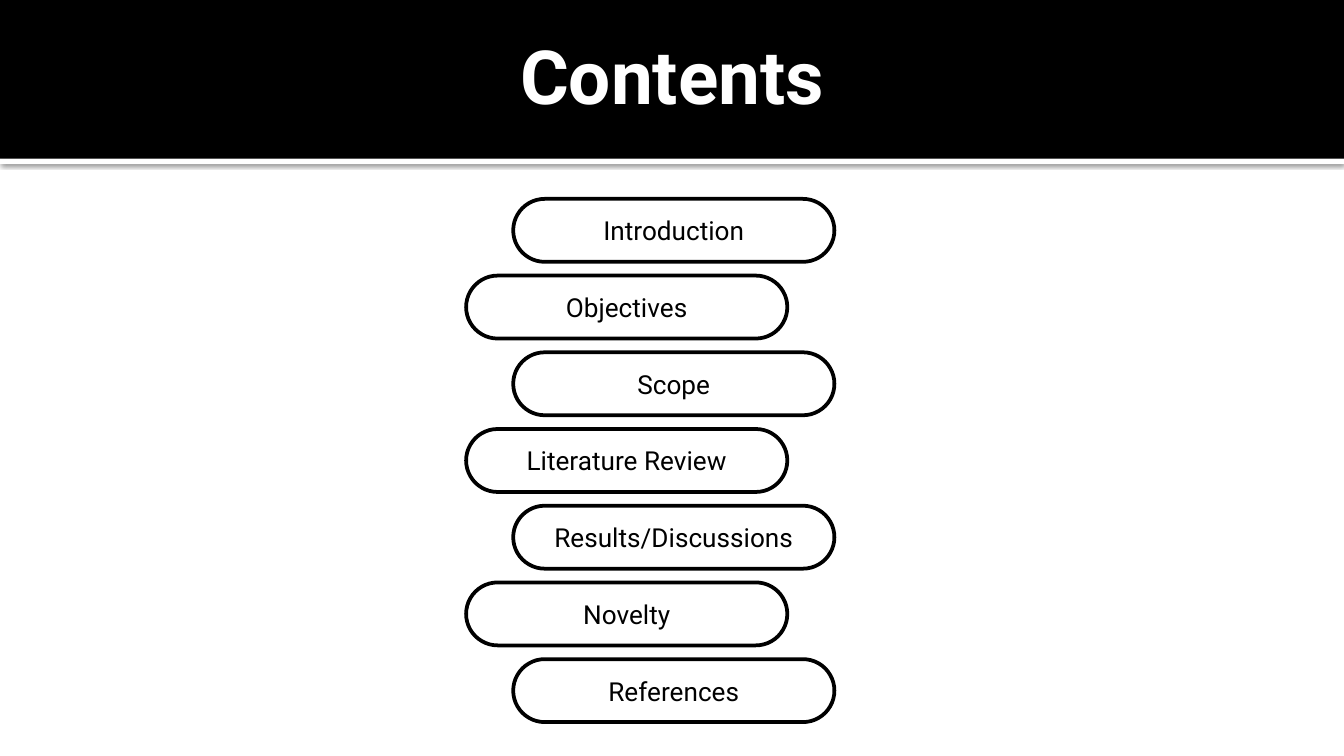
from lxml.etree import SubElement as Sub
from pptx import Presentation
from pptx.dml.color import RGBColor as RGB
from pptx.enum.shapes import MSO_SHAPE as Kind
from pptx.enum.text import MSO_ANCHOR as Anchor, PP_ALIGN as Align
from pptx.oxml.ns import qn
from pptx.util import Cm, Pt

COLORS = {"ink": "000000", "paper": "FFFFFF"}
WIDTH, HEIGHT = 25.4, 14.29
BAND, STRIP = 3, 0.1
TOPICS = ["Introduction", "Objectives", "Scope", "Literature Review",
          "Results/Discussions", "Novelty", "References"]
LEFTS = (9.7, 8.81)  # odd and even rows
TOP, STEP = 3.76, 1.45
PILL = (6.07, 1.19)
FONT = {"name": "Roboto"}
TITLE = {**FONT, "size": Pt(40), "bold": True}
LABEL = {**FONT, "size": Pt(14), "bold": False}


def color(name):
    return RGB.from_string(COLORS[name])


def write(shape, text, style, tint):
    """Put one centred line of text in a shape."""
    frame = shape.text_frame
    frame.word_wrap = True
    frame.vertical_anchor = Anchor.MIDDLE
    line = frame.paragraphs[0]
    line.alignment = Align.CENTER
    run = line.add_run()
    run.text = text
    for key, value in style.items():
        setattr(run.font, key, value)
    run.font.color.rgb = color(tint)


def block(shapes, kind, box, fill):
    """Add a filled shape with no outline or shadow."""
    shape = shapes.add_shape(kind, *map(Cm, box))
    shape.shadow.inherit = False
    shape.fill.solid()
    shape.fill.fore_color.rgb = color(fill)
    shape.line.fill.background()
    return shape


def shade(shape):
    """Drop a soft shadow straight down."""
    effects = shape._element.spPr.find(qn("a:effectLst"))
    outer = Sub(effects, qn("a:outerShdw"), blurRad=str(Pt(2.5)),
                dist=str(Pt(0.8)), dir="5400000", algn="t", rotWithShape="0")
    tint = Sub(outer, qn("a:srgbClr"), val=COLORS["ink"])
    Sub(tint, qn("a:alpha"), val="60000")


def pill(shapes, row, text):
    """Add one outlined topic, alternating between the two columns."""
    box = (LEFTS[row % 2], TOP + row * STEP, *PILL)
    shape = block(shapes, Kind.ROUNDED_RECTANGLE, box, "paper")
    shape.adjustments[0] = 0.5
    shape.line.color.rgb = color("ink")
    shape.line.width = Pt(2)
    write(shape, text, LABEL, "ink")


def main():
    deck = Presentation()
    deck.slide_width, deck.slide_height = Cm(WIDTH), Cm(HEIGHT)
    shapes = deck.slides.add_slide(deck.slide_layouts[6]).shapes

    # Header
    shade(block(shapes, Kind.RECTANGLE, (0, BAND, WIDTH, STRIP), "paper"))
    block(shapes, Kind.RECTANGLE, (0, 0, WIDTH, BAND), "ink")
    title = shapes.add_textbox(Cm(9.3), Cm(0.43), Cm(6.8), Cm(1.96))
    write(title, "Contents", TITLE, "paper")

    # Topics
    group = shapes.add_group_shape()
    for row, topic in enumerate(TOPICS):
        pill(group.shapes, row, topic)

    deck.save("out.pptx")


if __name__ == "__main__":
    main()
